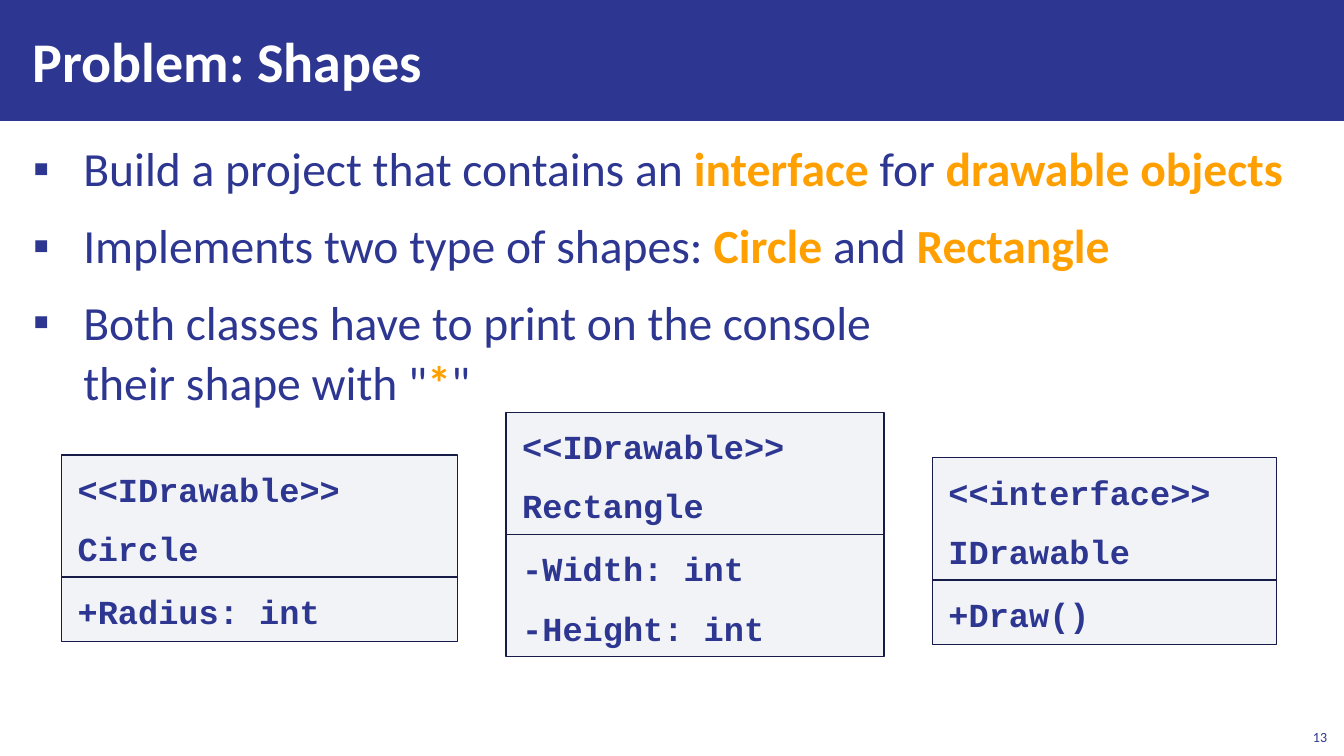
from lxml import etree
from pptx import Presentation
from pptx.dml.color import RGBColor
from pptx.enum.shapes import MSO_SHAPE as SHAPE
from pptx.enum.text import MSO_ANCHOR as ANCHOR, MSO_AUTO_SIZE as AUTO, PP_ALIGN as ALIGN
from pptx.oxml.ns import qn
from pptx.util import Pt

NAVY = RGBColor(0x2D, 0x37, 0x91)
ORANGE = RGBColor(0xFF, 0xA0, 0x00)
WHITE = RGBColor(0xFF, 0xFF, 0xFF)
GREY = RGBColor(0xAD, 0xB4, 0xC3)
INK = RGBColor(0x17, 0x1B, 0x48)

BULLETS = [
    [("Build a project that contains an ", False), ("interface", True),
     (" for ", False), ("drawable objects", True)],
    [("Implements two type of shapes: ", False), ("Circle", True),
     (" and ", False), ("Rectangle", True)],
    [("Both classes have to print on the console \ntheir shape with \"", False),
     ("*", True), ("\"", False)],
]
CLASSES = [
    ((44, 325, 283), [["<<IDrawable>>", "Circle"], ["+Radius: int"]]),
    ((361.5, 294.5, 270), [["<<IDrawable>>", "Rectangle"], ["-Width: int", "-Height: int"]]),
    ((666, 327, 246), [["<<interface>>", "IDrawable"], ["+Draw()"]]),
]
ROW_HEIGHT = {1: 46, 2: 87.3}
SPACING = {"line_spacing": 1.05, "space_before": Pt(6), "space_after": Pt(6)}


def apply(target, values):
    for name, value in values.items():
        setattr(target, name, value)


def place(sp, x, y, w, h):
    apply(sp, {"left": Pt(x), "top": Pt(y), "width": Pt(w), "height": Pt(h)})


def set_frame(tf, dx, dy, anchor=ANCHOR.TOP, auto_size=AUTO.NONE):
    apply(tf, {"margin_left": Pt(dx), "margin_right": Pt(dx),
               "margin_top": Pt(dy), "margin_bottom": Pt(dy),
               "word_wrap": True, "vertical_anchor": anchor, "auto_size": auto_size})


def add_run(p, text, size, color, bold=False, font="Calibri"):
    r = p.add_run()
    r.text = text
    apply(r.font, {"name": font, "size": Pt(size), "bold": bold})
    r.font.color.rgb = color


def add_paragraphs(tf, count):
    return [tf.paragraphs[0]] + [tf.add_paragraph() for _ in range(count - 1)]


def add_header(s, x, y, w, h):
    banner = s.shapes.add_shape(SHAPE.RECTANGLE, Pt(x), Pt(y), Pt(w), Pt(h))
    banner.shadow.inherit = False
    banner.fill.solid()
    banner.fill.fore_color.rgb = NAVY
    banner.line.fill.background()
    s.shapes.title._element.addprevious(banner._element)
    place(s.shapes.title, x + 15, y + 8, 749, h - 16.5)
    tf = s.shapes.title.text_frame
    set_frame(tf, 8.5, 3, ANCHOR.MIDDLE)
    p = tf.paragraphs[0]
    p.alignment = ALIGN.LEFT
    add_run(p, "Problem: Shapes", 40, WHITE, True)


def add_bullets(s, x, y, w, h):
    body = s.placeholders[1]
    place(body, x, y, w, h)
    tf = body.text_frame
    set_frame(tf, 8.5, 3)
    for p, runs in zip(add_paragraphs(tf, len(BULLETS)), BULLETS):
        apply(p, SPACING)
        pPr = p._p.get_or_add_pPr()
        pPr.set("marL", str(Pt(36)))
        pPr.set("indent", str(Pt(-36)))
        etree.SubElement(pPr, qn("a:buChar"), char="▪")
        for text, marked in runs:
            for i, line in enumerate(text.split("\n")):
                if i:
                    p.add_line_break()
                add_run(p, line, 34, ORANGE if marked else NAVY, marked)


def add_class(s, x, y, w, rows):
    group = s.shapes.add_group_shape()
    for lines in rows:
        h = ROW_HEIGHT[len(lines)]
        sp = group.shapes.add_shape(SHAPE.RECTANGLE, Pt(x), Pt(y), Pt(w), Pt(h))
        sp.shadow.inherit = False
        sp.fill.solid()
        sp.fill.fore_color.rgb = GREY
        color = sp._element.spPr.find(qn("a:solidFill"))[0]
        etree.SubElement(color, qn("a:alpha"), val="15000")
        sp.line.color.rgb = INK
        sp.line.width = Pt(1)
        tf = sp.text_frame
        set_frame(tf, 11.5, 8.5, auto_size=AUTO.SHAPE_TO_FIT_TEXT)
        for p, line in zip(add_paragraphs(tf, len(lines)), lines):
            apply(p, {**SPACING, "alignment": ALIGN.LEFT})
            add_run(p, line, 24, NAVY, True, "Courier New")
        y += h


def add_number(s, x, y, w, h):
    tf = s.shapes.add_textbox(Pt(x), Pt(y), Pt(w), Pt(h)).text_frame
    set_frame(tf, 7.2, 3.6, ANCHOR.BOTTOM)
    p = tf.paragraphs[0]
    p.alignment = ALIGN.RIGHT
    add_run(p, "13", 10, NAVY)


def main():
    prs = Presentation()
    apply(prs, {"slide_width": Pt(960), "slide_height": Pt(540)})
    s = prs.slides.add_slide(prs.slide_layouts[1])
    add_header(s, 0, 0, 960, 86.4)
    add_bullets(s, 15, 94.5, 930, 409.5)
    for box, rows in CLASSES:
        add_class(s, *box, rows)
    add_number(s, 926, 513, 29, 23)
    prs.save("out.pptx")


if __name__ == "__main__":
    main()
